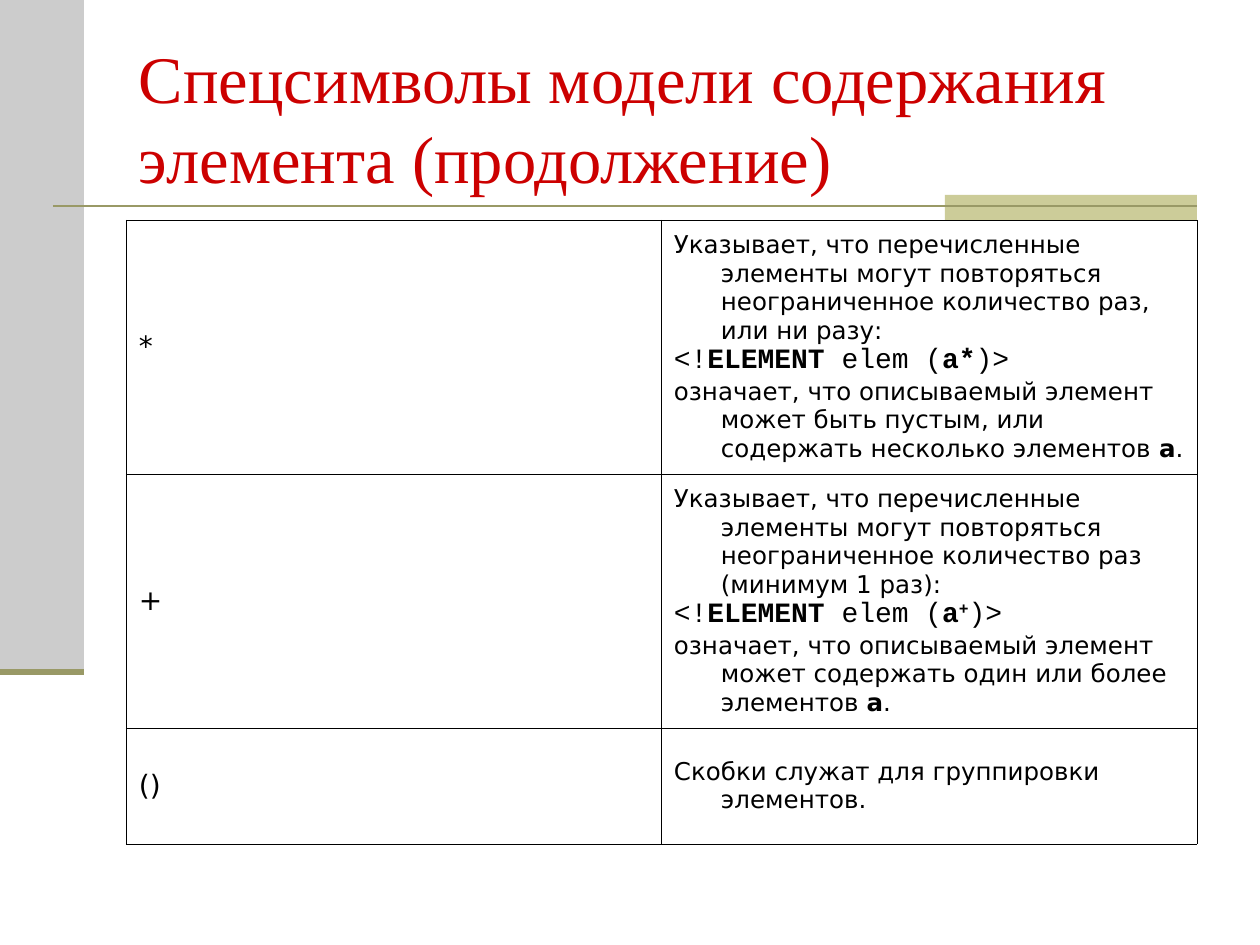
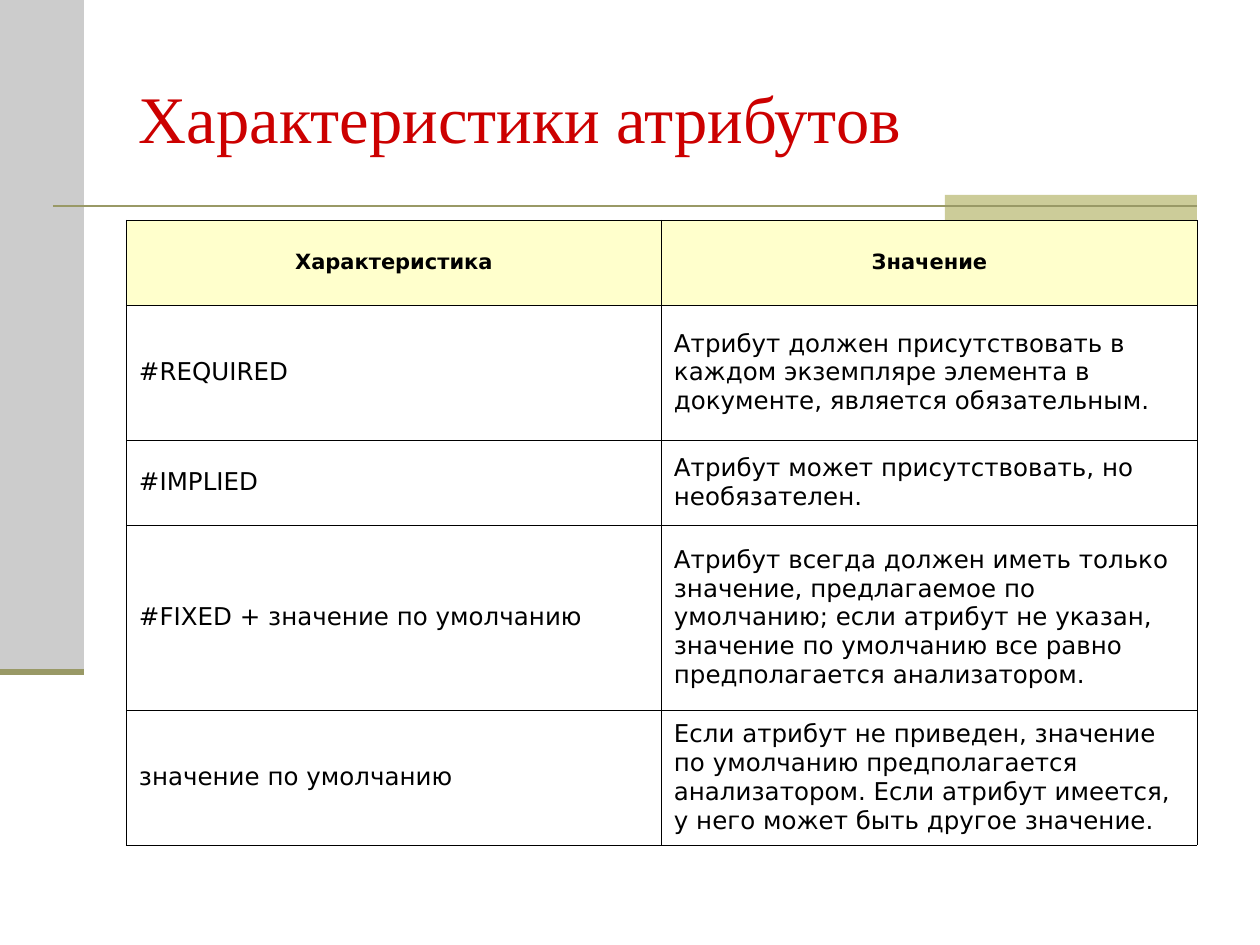
import pptx
import pptx.dml.color
import pptx.enum.shapes
import pptx.enum.text
import pptx.oxml
import pptx.oxml.ns
import pptx.util
import lxml.etree

SANS, MONO, SERIF = "DejaVu Sans", "Courier New", "Times New Roman"
RED, BLACK, GRAY = "CC0000", "000000", "CCCCCC"
SAND, OLIVE, CREAM = "CCCC99", "999966", "FFFFCC"
STYLES = {
    "body": (SANS, 14, False),
    "sign": (SANS, 16, False),
    "code": (MONO, 16, False),
    "head": (SANS, 12, True),
}


def px(n):
    """Turn px into EMU."""
    return pptx.util.Emu(round(n * 914400 / 126))


def color(code):
    """Turn a hex string into a colour."""
    return pptx.dml.color.RGBColor.from_string(code)


class Deck:
    """Hold the style and the current slide."""

    def __init__(self):
        """Start an empty deck."""
        self.prs = pptx.Presentation()
        self.prs.slide_width, self.prs.slide_height = px(1260), px(945)
        self.slide = None

    def page(self, title):
        """Add a slide with the shared bands, rules and title."""
        self.slide = self.prs.slides.add_slide(self.prs.slide_layouts[6])
        self.band(0, 0, 84, 672, GRAY)
        self.band(945, 195, 252, 25, SAND)
        self.rule(53, 1197, 206, 1.5)
        self.rule(0, 84, 672, 3.5)
        self.title(title)

    def band(self, x, y, w, h, fill):
        """Draw a plain filled rectangle."""
        kind = pptx.enum.shapes.MSO_SHAPE.RECTANGLE
        shape = self.slide.shapes.add_shape(kind, px(x), px(y), px(w), px(h))
        shape.shadow.inherit = False
        shape.fill.solid()
        shape.fill.fore_color.rgb = color(fill)
        shape.line.fill.background()

    def rule(self, left, right, y, width):
        """Draw a horizontal line."""
        kind = pptx.enum.shapes.MSO_CONNECTOR.STRAIGHT
        line = self.slide.shapes.add_connector(kind, px(left), px(y), px(right), px(y))
        line.line.color.rgb = color(OLIVE)
        line.line.width = pptx.util.Pt(width)
        props = line._element.spPr
        lxml.etree.SubElement(props, pptx.oxml.ns.qn("a:effectLst"))

    def title(self, text):
        """Write the slide title."""
        frame = self.slide.shapes.add_textbox(px(126), px(38), px(1071), px(157)).text_frame
        frame.word_wrap = True
        self.pad(frame)
        para = frame.paragraphs[0]
        para.text = text
        self.font(para, SERIF, 38, False, RED)

    def pad(self, box):
        """Centre a frame or cell vertically and set its margins."""
        box.vertical_anchor = pptx.enum.text.MSO_ANCHOR.MIDDLE
        box.margin_left, box.margin_right = px(13), px(12)
        box.margin_top = box.margin_bottom = px(6)

    def font(self, para, name, size, bold, ink):
        """Set the font of a paragraph."""
        para.font.name = name
        para.font.size = pptx.util.Pt(size)
        para.font.bold = bold
        para.font.color.rgb = color(ink)

    def table(self, heights, rows, hang=0):
        """Draw a bordered table with two columns."""
        shape = self.slide.shapes.add_table(
            len(rows), 2, px(126), px(220), px(1071), px(sum(heights)))
        grid = shape.table
        grid.first_row = grid.horz_banding = False
        for col, width in zip(grid.columns, (535, 536)):
            col.width = px(width)
        for r, (height, row) in enumerate(zip(heights, rows)):
            grid.rows[r].height = px(height)
            for c, paras in enumerate(row):
                self.cell(grid.cell(r, c), paras, hang)

    def cell(self, cell, paras, hang):
        """Fill one cell with styled paragraphs."""
        self.pad(cell)
        self.edge(cell)
        head = paras[0][0] == "head"
        if head:
            cell.fill.solid()
            cell.fill.fore_color.rgb = color(CREAM)
        else:
            cell.fill.background()
        frame = cell.text_frame
        for i, (style, text) in enumerate(paras):
            para = frame.add_paragraph() if i else frame.paragraphs[0]
            if head:
                para.alignment = pptx.enum.text.PP_ALIGN.CENTER
            if hang:
                props = para._p.get_or_add_pPr()
                props.set("marL", str(px(hang)))
                props.set("indent", str(-px(hang)))
            self.runs(para, text)
            self.font(para, *STYLES[style], BLACK)

    def runs(self, para, text):
        """Write runs: each second part between bars is bold, ^ raises it."""
        for i, part in enumerate(text.split("|")):
            if part:
                run = para.add_run()
                run.text = part.lstrip("^")
                if i % 2:
                    run.font.bold = True
                if part.startswith("^"):
                    run._r.get_or_add_rPr().set("baseline", "30000")

    def edge(self, cell):
        """Draw thin borders round a cell."""
        props = cell._tc.get_or_add_tcPr()
        names = pptx.oxml.ns.nsdecls("a")
        for side in "LRTB":
            props.append(pptx.oxml.parse_xml(
                f'<a:ln{side} {names} w="4318"><a:solidFill>'
                f'<a:srgbClr val="{BLACK}"/></a:solidFill></a:ln{side}>'))


def main():
    """Build both slides."""
    deck = Deck()
    deck.page("Спецсимволы модели содержания элемента (продолжение)")
    lead = "Указывает, что перечисленные элементы могут повторяться неограниченное количество раз"
    tail = "означает, что описываемый элемент может "
    deck.table((254, 254, 116), [
        ([("sign", "*")], [
            ("body", lead + ", или ни разу:"),
            ("code", "<!|ELEMENT| elem (|a*|)>"),
            ("body", tail + "быть пустым, или содержать несколько элементов |a|."),
        ]),
        ([("sign", "+")], [
            ("body", lead + " (минимум 1 раз):"),
            ("code", "<!|ELEMENT| elem (|a||^+|)>"),
            ("body", tail + "содержать один или более элементов |a|."),
        ]),
        ([("sign", "()")], [("body", "Скобки служат для группировки элементов.")]),
    ], hang=47)

    deck.page("Характеристики атрибутов")
    facts = [
        ("#REQUIRED", "Атрибут должен присутствовать в каждом экземпляре элемента "
         "в документе, является обязательным."),
        ("#IMPLIED", "Атрибут может присутствовать, но необязателен."),
        ("#FIXED + значение по умолчанию", "Атрибут всегда должен иметь только значение, "
         "предлагаемое по умолчанию; если атрибут не указан, значение по умолчанию "
         "все равно предполагается анализатором."),
        ("значение по умолчанию", "Если атрибут не приведен, значение по умолчанию "
         "предполагается анализатором. Если атрибут имеется, у него может быть "
         "другое значение."),
    ]
    rows = [[[("head", text)] for text in ("Характеристика", "Значение")]]
    rows += [[[("body", text)] for text in fact] for fact in facts]
    deck.table((85, 135, 85, 185, 135), rows)
    deck.prs.save("out.pptx")


if __name__ == "__main__":
    main()
